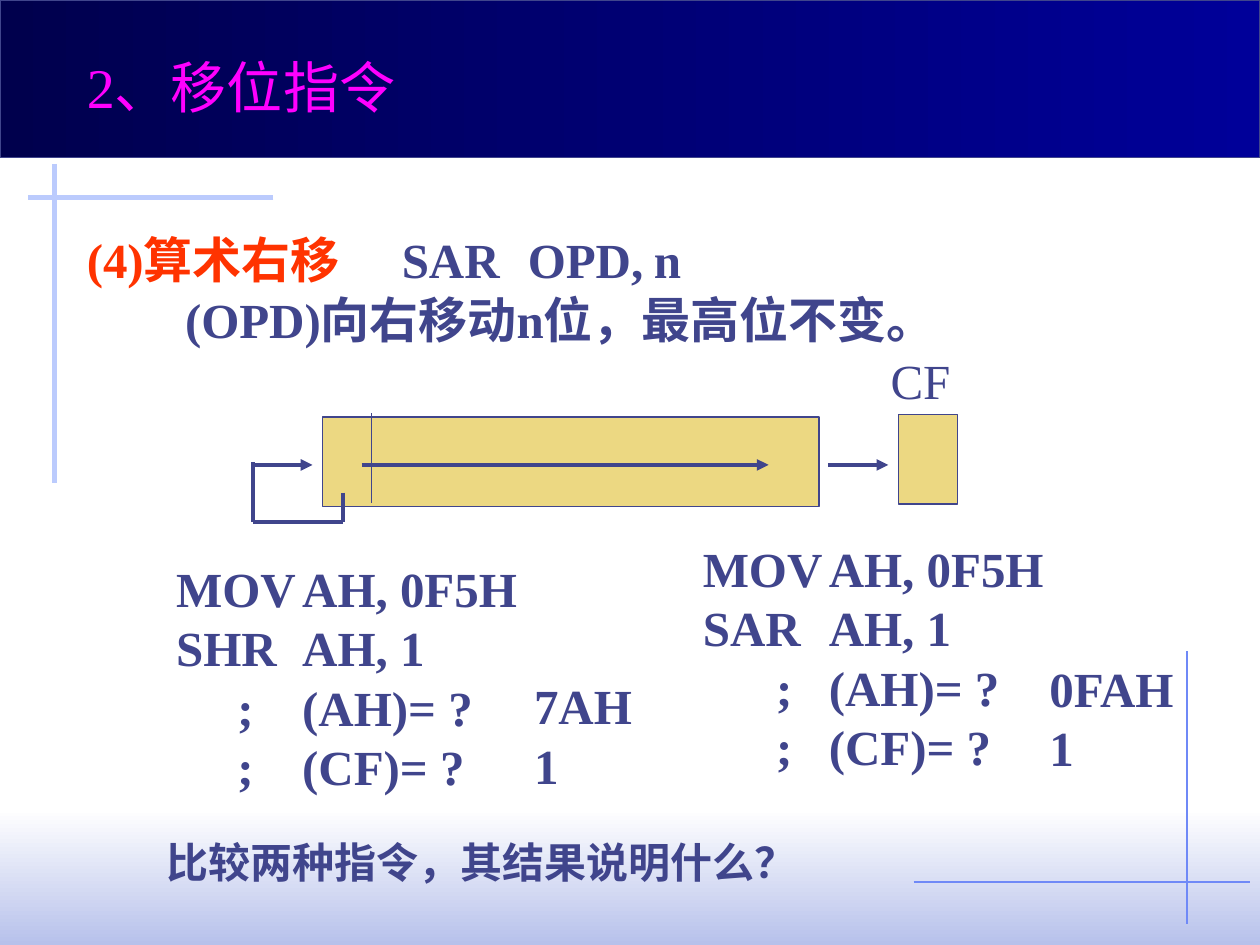
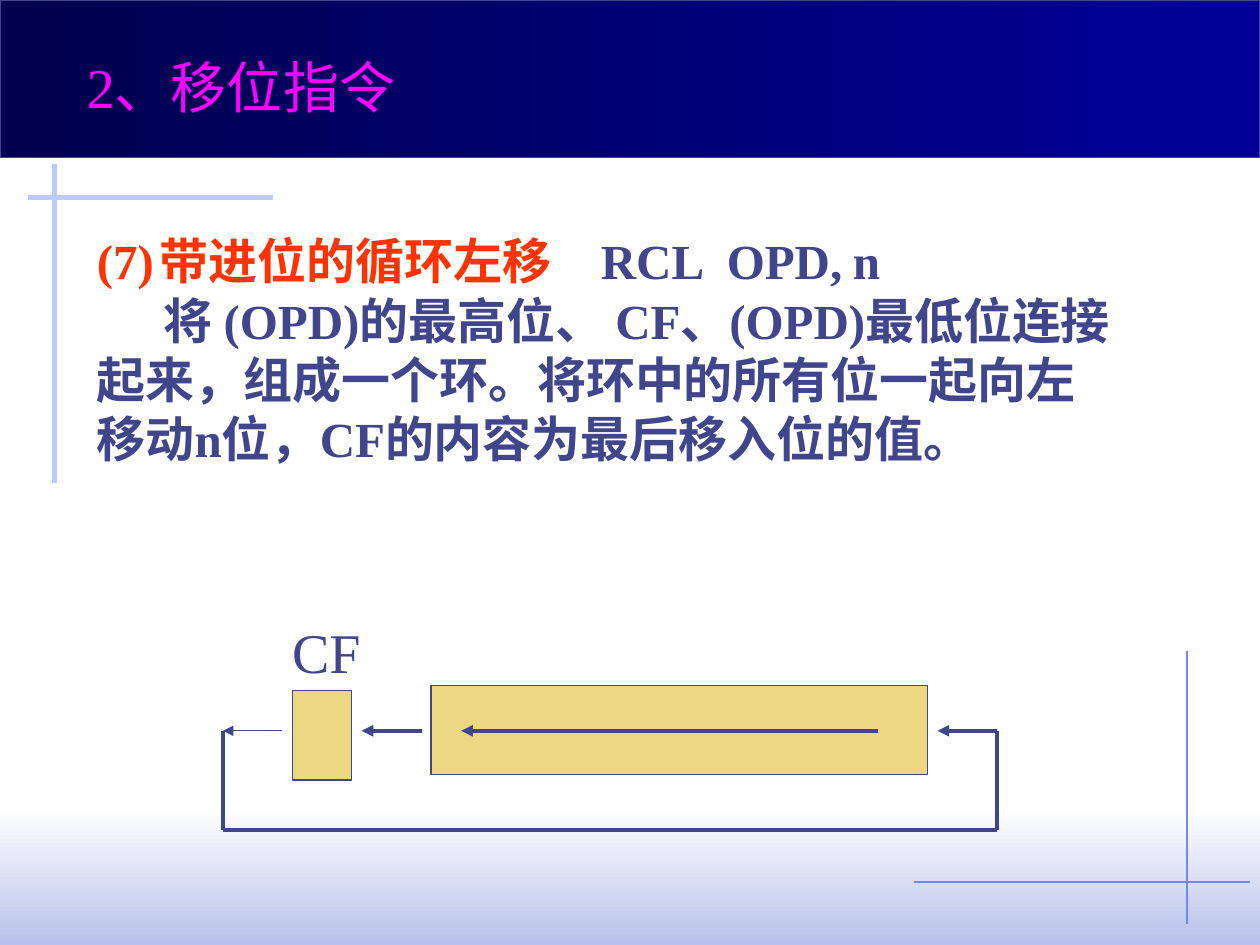
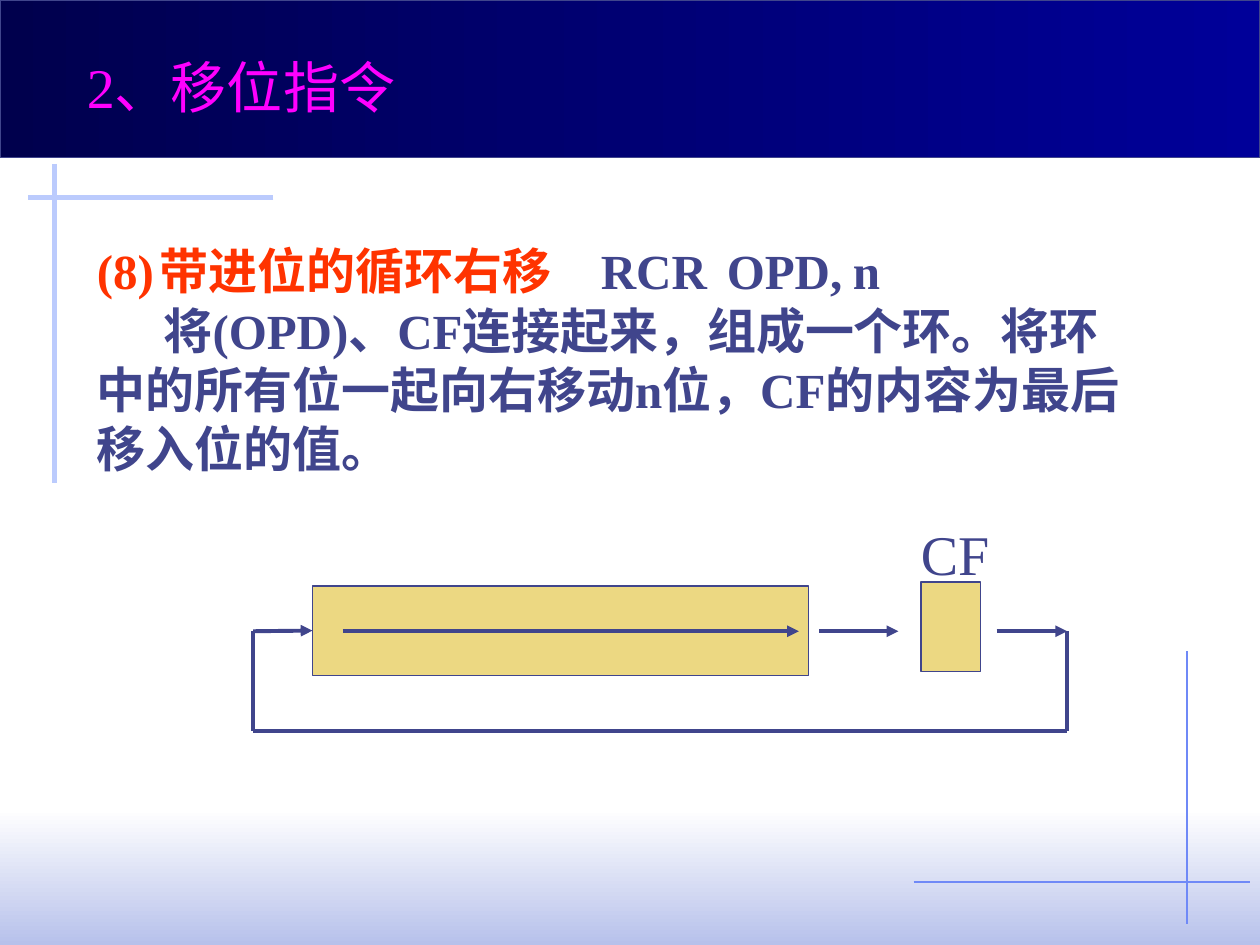
from itertools import pairwise

from lxml import etree
from pptx import Presentation
from pptx.dml.color import RGBColor
from pptx.enum.shapes import MSO_CONNECTOR, MSO_SHAPE
from pptx.enum.text import MSO_ANCHOR, MSO_AUTO_SIZE, PP_ALIGN
from pptx.oxml.ns import qn
from pptx.util import Inches, Pt

INK = RGBColor(0x40, 0x45, 0x8C)
ACCENT = RGBColor(0xFF, 0x33, 0x00)
MAGENTA = RGBColor(0xFF, 0x00, 0xFF)
SAND = RGBColor(0xEC, 0xD8, 0x82)
WHITE = RGBColor(0xFF, 0xFF, 0xFF)
MIST = RGBColor(0xB7, 0xC1, 0xEB)
NAVY = RGBColor(0x00, 0x00, 0x4D)
BLUE = RGBColor(0x00, 0x00, 0x99)
PALE_RULE = RGBColor(0xBB, 0xCB, 0xFD)
THIN_RULE = RGBColor(0x6F, 0x89, 0xF7)
LATIN_FONT = "Times New Roman"
CHINESE_FONT = "Noto Sans CJK SC"
LINE_HEIGHT = 1.21


def fill_text(shape, paragraphs, size=28, bold=True, color=INK, wrap=False):
    frame = shape.text_frame
    frame.word_wrap = wrap
    frame.auto_size = MSO_AUTO_SIZE.NONE
    frame.vertical_anchor = MSO_ANCHOR.TOP
    for index, (text, stops, indent) in enumerate(paragraphs):
        paragraph = frame.add_paragraph() if index else frame.paragraphs[0]
        highlight, divider, rest = text.partition("|")
        paragraph.text = highlight
        if divider:
            paragraph.add_run().text = rest
        properties = paragraph._p.get_or_add_pPr()
        properties.set("marL", "0")
        properties.set("indent", str(Inches(indent)))
        if stops:
            tabs = etree.SubElement(properties, qn("a:tabLst"))
            for stop in stops:
                etree.SubElement(tabs, qn("a:tab"), pos=str(Inches(stop)), algn="l")
        paragraph.alignment = PP_ALIGN.LEFT
        paragraph.line_spacing = Pt(round(size * LINE_HEIGHT, 1))
        for run in paragraph.runs:
            run.font.size = Pt(size)
            run.font.bold = bold
            run.font.name = LATIN_FONT
            run.font.color.rgb = color
            etree.SubElement(run.font._element, qn("a:ea"), typeface=CHINESE_FONT)
        if divider:
            paragraph.runs[0].font.color.rgb = ACCENT


def add_line(slide, start, end, color=INK, width=2.25, arrow=False):
    connector = slide.shapes.add_connector(
        MSO_CONNECTOR.STRAIGHT, *[Inches(value) for value in (*start, *end)])
    connector.line.color.rgb = color
    connector.line.width = Pt(width)
    properties = connector.element.spPr
    if arrow:
        etree.SubElement(properties.find(qn("a:ln")), qn("a:tailEnd"), type="triangle")
    etree.SubElement(properties, qn("a:effectLst"))
    return connector


TOPICS = [
    {
        "body": (0.59, 1.77, 8.35, 1.04),
        "paragraphs": [
            ("(4)算术右移|\tSAR\tOPD,\tn", (2.33, 3.6, 4.7), 0),
            ("(OPD)向右移动n位，最高位不变。", (), 0.78),
        ],
        "register": (2.56, 3.31),
        "flag": (7.13, 3.29),
        "label": (6.97, 2.73, 28),
        "axis": 3.69,
        "arrows": [(2.01, 2.48, 2.25), (2.87, 6.1, 2.25), (6.57, 7.05, 2.25)],
        "return": [(2.72, 3.91), (2.72, 4.14), (2.01, 4.14), (2.01, 3.67)],
    },
    {
        "body": (0.67, 1.78, 8.35, 2.44),
        "paragraphs": [
            ("(7)\t带进位的循环左移|\tRCL\tOPD,\tn", (0.65, 4.02, 5.01, 6.12), 0),
            ("将 (OPD)的最高位、 CF、(OPD)最低位连接起来，组成一个环。"
             "将环中的所有位一起向左移动n位，CF的内容为最后移入位的值。", (), 0.53),
        ],
        "register": (3.42, 5.44),
        "flag": (2.32, 5.48),
        "label": (2.22, 4.85, 32),
        "axis": 5.8,
        "arrows": [(6.97, 3.66, 2.25), (3.35, 2.87, 2.25), (7.91, 7.44, 2.25),
                   (2.24, 1.77, 0.75)],
        "return": [(1.77, 5.8), (1.77, 6.59), (7.91, 6.59), (7.91, 5.8)],
    },
    {
        "body": (0.67, 1.86, 8.35, 1.97),
        "paragraphs": [
            ("(8)\t带进位的循环右移|\tRCR\tOPD,\tn", (0.65, 4.02, 5.06, 6.17), 0),
            ("将(OPD)、CF连接起来，组成一个环。"
             "将环中的所有位一起向右移动n位，CF的内容为最后移入位的值。", (), 0.53),
        ],
        "register": (2.48, 4.65),
        "flag": (7.31, 4.62),
        "label": (7.21, 4.07, 32),
        "axis": 5.01,
        "arrows": [(2.01, 2.48, 2.25), (2.72, 6.34, 2.25), (6.5, 7.13, 2.25),
                   (7.91, 8.47, 2.25)],
        "return": [(2.01, 5.01), (2.01, 5.8), (8.47, 5.8), (8.47, 5.01)],
    },
]

presentation = Presentation()
presentation.slide_width = Inches(10)
presentation.slide_height = Inches(7.5)
layout = presentation.slide_layouts[5]
for placeholder in list(layout.placeholders)[1:]:
    layout.shapes.element.remove(placeholder.element)
slides = [presentation.slides.add_slide(layout) for topic in TOPICS]

decorations = []
for top, height, first, last, angle in [(6.42, 1.08, WHITE, MIST, 270),
                                        (0, 1.25, NAVY, BLUE, 0)]:
    band = slides[0].shapes.add_shape(
        MSO_SHAPE.RECTANGLE, 0, Inches(top), Inches(10), Inches(height))
    band.shadow.inherit = False
    band.fill.gradient()
    band.fill.gradient_angle = angle
    for stop, color in zip(band.fill.gradient_stops, (first, last)):
        stop.color.rgb = color
    band.line.fill.background()
    decorations.append(band)
band.line.color.rgb = INK
band.line.width = Pt(0.75)
for start, end, color, width in [
    ((9.42, 5.17), (9.42, 7.33), THIN_RULE, 0.75),
    ((7.25, 7), (9.92, 7), THIN_RULE, 0.75),
    ((2.17, 1.57), (0.22, 1.57), PALE_RULE, 3),
    ((0.43, 1.3), (0.43, 3.83), PALE_RULE, 3),
]:
    decorations.append(add_line(slides[0], start, end, color, width))
for decoration in decorations:
    layout.shapes.element.append(decoration.element)

for slide, topic in zip(slides, TOPICS):
    title = slide.shapes.title
    title.left, title.top, title.width, title.height = [
        Inches(value) for value in (0.59, 0.36, 2.8, 0.64)]
    fill_text(title, [("2、移位指令", (), 0)], 32, False, MAGENTA)

    body = slide.shapes.add_textbox(*[Inches(value) for value in topic["body"]])
    fill_text(body, topic["paragraphs"], wrap=True)

    boxes = []
    for (left, top), width in [(topic["register"], 3.94), (topic["flag"], 0.47)]:
        box = slide.shapes.add_shape(
            MSO_SHAPE.RECTANGLE, Inches(left), Inches(top), Inches(width), Inches(0.71))
        box.shadow.inherit = False
        box.fill.solid()
        box.fill.fore_color.rgb = SAND
        box.line.color.rgb = INK
        box.line.width = Pt(0.75)
        boxes.append(box)
    register = boxes[0]

    left, top, size = topic["label"]
    label = slide.shapes.add_textbox(Inches(left), Inches(top), Inches(0.74), Inches(0.6))
    fill_text(label, [("CF", (), 0)], size, False)

    for start, end in pairwise(topic["return"]):
        add_line(slide, start, end)
    for start, end, width in topic["arrows"]:
        arrow = add_line(slide, (start, topic["axis"]), (end, topic["axis"]),
                         width=width, arrow=True)
        if Inches(end) == register.left:
            arrow.end_connect(register, 1)

comparison = slides[0]
add_line(comparison, (2.95, 3.28), (2.95, 3.99), width=0.75)
for left, top, width, height, paragraphs in [
    (1.3, 4.38, 3.42, 1.97, [
        ("MOV\tAH, 0F5H", (1.41,), 0),
        ("SHR\tAH, 1", (1.36,), 0),
        ("     ;\t(AH)= ?", (0.81,), 0),
        ("     ;\t(CF)= ?", (0.81,), 0),
    ]),
    (5.48, 4.22, 3.4, 1.97, [
        ("MOV\tAH, 0F5H", (1.41,), 0),
        ("SAR\tAH, 1", (1.34,), 0),
        ("      ;\t(AH)= ?", (0.91,), 0),
        ("      ;\t(CF)= ?", (0.91,), 0),
    ]),
    (4.14, 5.31, 0.97, 1.04, [("7AH", (), 0), ("1", (), 0)]),
    (8.23, 5.17, 1.21, 1.04, [("0FAH", (), 0), ("1", (), 0)]),
]:
    code = comparison.shapes.add_textbox(
        Inches(left), Inches(top), Inches(width), Inches(height))
    fill_text(code, paragraphs)
question = comparison.shapes.add_textbox(Inches(1.22), Inches(6.59), Inches(5.2), Inches(0.5))
fill_text(question, [("比较两种指令，其结果说明什么？", (), 0)], 24)

presentation.save("out.pptx")
